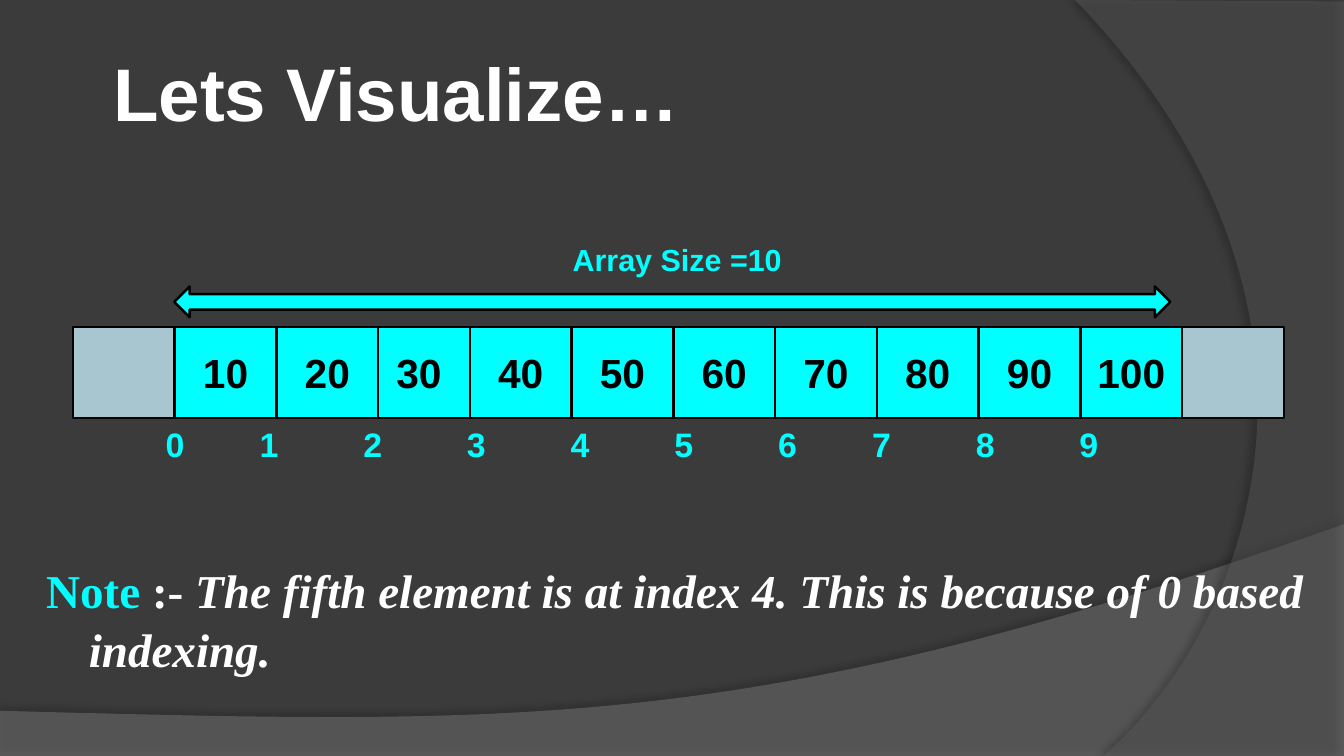
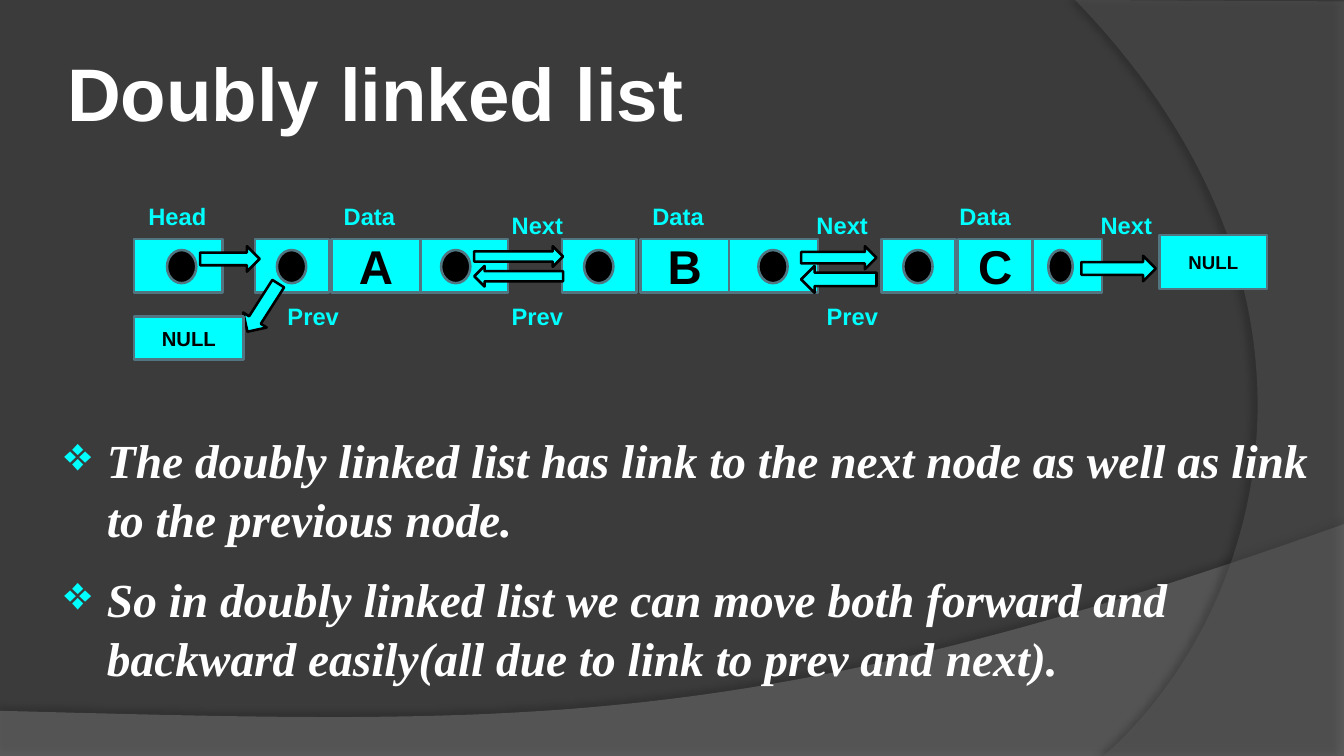
from dataclasses import dataclass
from itertools import accumulate

from lxml import etree
from pptx import Presentation
from pptx.dml.color import RGBColor
from pptx.enum.shapes import MSO_SHAPE
from pptx.enum.text import MSO_ANCHOR, PP_ALIGN
from pptx.oxml.ns import qn
from pptx.util import Cm, Pt

RECT, OVAL = MSO_SHAPE.RECTANGLE, MSO_SHAPE.OVAL
RIGHT_ARROW, DOUBLE_ARROW = MSO_SHAPE.RIGHT_ARROW, MSO_SHAPE.LEFT_RIGHT_ARROW
MIDDLE, TOP = MSO_ANCHOR.MIDDLE, MSO_ANCHOR.TOP
CENTER, LEFT = PP_ALIGN.CENTER, PP_ALIGN.LEFT

COLORS = {
    "background": "3B3B3B", "wave": "7F7F7F", "arc": "5E5E5E",
    "cyan": "00FFFF", "white": "FFFFFF", "black": "000000",
    "empty": "A8C6D0", "edge": "517682",
}
HEAD_FONT, BODY_FONT = "Arial", "Times New Roman"
SLIDE_W, SLIDE_H = 28, 15.75
CURVE_STEPS = 60

CELL_W, CELL_H, CELL_Y, ARRAY_X = 2.12, 1.9, 6.81, 1.52
CELL_OVERLAP = 0.21
NODE_Y, NODE_H = 4.98, 1.12
DOT_Y, DOT_H = 5.21, 0.69
DATA_Y, NEXT_Y, PREV_Y = 4.09, 4.27, 6.17

Point = tuple[float, float]


@dataclass
class Box:
    x: float
    y: float
    w: float
    h: float


@dataclass
class Run:
    text: str
    size: float
    color: str = "white"
    font: str = HEAD_FONT
    italic: bool = False


@dataclass
class Backdrop:
    """A closed outline: straight corners, then a Bezier curve from the last one."""
    corners: list[Point]
    curve: list[Point]
    color: str
    alpha: int
    shadow_alpha: int
    shadow_dist: float
    shadow_angle: int


@dataclass
class Field:
    """One compartment of a list node, with a pointer dot or a letter."""
    x: float
    w: float
    dot_x: float = 0
    dot_w: float = 0.61
    letter: str = ""


@dataclass
class Arrow:
    box: Box
    angle: float = 0


@dataclass
class Label:
    text: str
    x: float
    y: float


BACKDROPS = [
    Backdrop([(0, 14.81), (0, SLIDE_H), (SLIDE_W, SLIDE_H), (SLIDE_W, 10.92)],
             [(15.65, 15.32), (10.95, 15.09), (0, 14.81)], "wave", 45, 35, 3.5, 270),
    Backdrop([(SLIDE_W, 0.03), (SLIDE_W, SLIDE_H), (22.99, SLIDE_H)],
             [(26.16, 13), (28.5, 6.3), (22.4, 0)], "arc", 40, 45, 4, 180),
]

FIELDS = [
    Field(2.79, 1.85, 3.48),
    Field(5.31, 1.55, 5.77), Field(8.74, 1.85, 9.19), Field(6.91, 1.85, letter="A"),
    Field(11.71, 1.55, 12.17), Field(15.19, 1.85, 15.8), Field(13.34, 1.85, letter="B"),
    Field(18.36, 1.55, 18.82), Field(21.41, 1.55, 21.84, 0.51),
    Field(19.96, 1.55, letter="C"),
]
ARROWS = [
    Arrow(Box(4.17, 5.13, 1.24, 0.53)),
    Arrow(Box(9.88, 5.13, 1.85, 0.43)),
    Arrow(Box(16.69, 5.13, 1.57, 0.48)),
    Arrow(Box(22.53, 5.33, 1.55, 0.53)),
    Arrow(Box(9.88, 5.54, 1.85, 0.43), 180),
    Arrow(Box(16.69, 5.54, 1.57, 0.56), 180),
    Arrow(Box(4.88, 6.12, 1.19, 0.58), 122.6),
]
LABELS = [Label("Head", 2.84, DATA_Y)]
LABELS += [Label("Data", x, DATA_Y) for x in (6.91, 13.34, 19.74)]
LABELS += [Label("Next", x, NEXT_Y) for x in (10.41, 16.76, 22.68)]
LABELS += [Label("Prev", x, PREV_Y) for x in (5.74, 10.41, 16.97)]


def rgb(name: str) -> RGBColor:
    return RGBColor.from_string(COLORS[name])


def place(box: Box) -> tuple[Cm, Cm, Cm, Cm]:
    return Cm(box.x), Cm(box.y), Cm(box.w), Cm(box.h)


def add_runs(p, runs: list[Run]) -> None:
    for run in runs:
        r = p.add_run()
        r.text = run.text
        r.font.name, r.font.size = run.font, Pt(run.size)
        r.font.bold, r.font.italic = True, run.italic
        r.font.color.rgb = rgb(run.color)


def add_text(slide, box: Box, paragraphs: list[list[Run]], inset: bool = True,
             anchor: MSO_ANCHOR = TOP):
    tf = slide.shapes.add_textbox(*place(box)).text_frame
    tf.word_wrap, tf.vertical_anchor = True, anchor
    if not inset:
        tf.margin_left = tf.margin_top = tf.margin_right = tf.margin_bottom = 0
    for i, runs in enumerate(paragraphs):
        p = tf.add_paragraph() if i else tf.paragraphs[0]
        p.alignment = LEFT
        add_runs(p, runs)
    return tf


def add_figure(slide, kind: MSO_SHAPE, box: Box, fill: str = "cyan",
               line: str = "black", run: Run | None = None):
    sp = slide.shapes.add_shape(kind, *place(box))
    sp.shadow.inherit = False
    sp.fill.solid()
    sp.fill.fore_color.rgb = rgb(fill)
    sp.line.color.rgb = rgb(line)
    sp.line.width = Pt(1.5)
    if run:
        tf = sp.text_frame
        tf.vertical_anchor = MIDDLE
        tf.paragraphs[0].alignment = CENTER
        add_runs(tf.paragraphs[0], [run])
    return sp


def set_alpha(color, percent: int) -> None:
    etree.SubElement(color, qn("a:alpha"), val=str(percent * 1000))


def bezier(points: list[Point], t: float) -> Point:
    weights = ((1 - t) ** 3, 3 * t * (1 - t) ** 2, 3 * t * t * (1 - t), t ** 3)
    x, y = (sum(w * p[axis] for w, p in zip(weights, points)) for axis in (0, 1))
    return x, y


def add_backdrop(slide, drop: Backdrop) -> None:
    control = [drop.corners[-1], *drop.curve]
    points = drop.corners + [bezier(control, i / CURVE_STEPS)
                             for i in range(1, CURVE_STEPS + 1)]
    (x, y), *rest = [(Cm(px), Cm(py)) for px, py in points]
    builder = slide.shapes.build_freeform(x, y)
    builder.add_line_segments(rest, close=True)
    sp = builder.convert_to_shape()
    sp.line.fill.background()
    sp.fill.solid()
    sp.fill.fore_color.rgb = rgb(drop.color)
    sp.shadow.inherit = False
    sp_pr = sp.element.spPr
    set_alpha(sp_pr.find(qn("a:solidFill")).find(qn("a:srgbClr")), drop.alpha)
    shadow = etree.SubElement(
        sp_pr.find(qn("a:effectLst")), qn("a:outerShdw"), blurRad=str(Pt(4)),
        dist=str(Pt(drop.shadow_dist)), dir=str(drop.shadow_angle * 60000),
        algn="ctr", rotWithShape="0")
    color = etree.SubElement(shadow, qn("a:srgbClr"), val=COLORS["black"])
    set_alpha(color, drop.shadow_alpha)


def add_slide(prs, title: str, title_x: float):
    slide = prs.slides.add_slide(prs.slide_layouts[6])
    for drop in BACKDROPS:
        add_backdrop(slide, drop)
    add_text(slide, Box(title_x, 0.61, 19.5, 2.59), [[Run(title, 44)]], False, MIDDLE)
    return slide


def style_body(tf, bullet: str = "") -> None:
    """Give each paragraph a hanging indent, spacing and an optional bullet."""
    for p in tf.paragraphs:
        p.line_spacing, p.space_after = 1.05, Pt(11.5)
        p_pr = p._p.get_or_add_pPr()
        p_pr.set("marL", str(Cm(1.19)))
        p_pr.set("indent", str(Cm(-0.89)))
        if bullet:
            color = etree.SubElement(p_pr, qn("a:buClr"))
            etree.SubElement(color, qn("a:srgbClr"), val=COLORS["cyan"])
            etree.SubElement(p_pr, qn("a:buChar"), char=bullet)


def add_tab_stops(p, stops: list[float]) -> None:
    tabs = etree.SubElement(p._p.get_or_add_pPr(), qn("a:tabLst"))
    for stop in stops:
        etree.SubElement(tabs, qn("a:tab"), pos=str(Cm(stop)), algn="l")


def build_array_slide(prs) -> None:
    slide = add_slide(prs, "Lets Visualize…", 2.36)
    note = [Run("Note ", 27.8, "cyan", BODY_FONT), Run(":-", 27.8, font=BODY_FONT),
            Run(" The fifth element is at index 4. This is because of 0 based indexing.",
                27.8, font=BODY_FONT, italic=True)]
    style_body(add_text(slide, Box(0.66, 11.64, 26.67, 2), [note], False))

    indexes = "\t".join(str(i) for i in range(10))
    tf = add_text(slide, Box(3.2, 8.71, 21.6, 1.12), [[Run(indexes, 20, "cyan")]])
    narrow, wide = 1.96, 2.16
    gaps = [narrow] + [wide] * 5 + [narrow] + [wide] * 2
    add_tab_stops(tf.paragraphs[0], list(accumulate(gaps)))

    values = ["", *(str(v) for v in range(10, 101, 10)), ""]
    for i, value in reversed(list(enumerate(values))):
        x = ARRAY_X + i * CELL_W - (CELL_OVERLAP if i > 2 else 0)
        add_figure(slide, RECT, Box(x, CELL_Y, CELL_W, CELL_H),
                   "cyan" if value else "empty",
                   run=Run(value, 24, "black") if value else None)
    add_figure(slide, DOUBLE_ARROW, Box(3.63, 5.97, 20.75, 0.64))
    add_text(slide, Box(11.68, 4.9, 5.5, 1.02), [[Run("Array Size =10", 18, "cyan")]])


def build_list_slide(prs) -> None:
    slide = add_slide(prs, "Doubly linked list", 1.4)
    points = [
        "The doubly linked list has link to the next node as well as link to the "
        "previous node.",
        "So in doubly linked list we can move both forward and backward easily"
        "(all due to link to prev and next).",
    ]
    tf = add_text(slide, Box(0.79, 8.79, 27.2, 6.96),
                  [[Run(text, 28, font=BODY_FONT, italic=True)] for text in points])
    style_body(tf, "❖")

    for field in FIELDS:
        add_figure(slide, RECT, Box(field.x, NODE_Y, field.w, NODE_H), line="edge",
                   run=Run(field.letter, 28, "black") if field.letter else None)
        if field.dot_x:
            add_figure(slide, OVAL, Box(field.dot_x, DOT_Y, field.dot_w, DOT_H),
                       "black", "edge")
    for arrow in ARROWS:
        add_figure(slide, RIGHT_ARROW, arrow.box).rotation = arrow.angle
    for box, size in ((Box(24.16, 4.9, 2.24, 1.12), 11), (Box(2.79, 6.6, 2.29, 0.89), 12)):
        add_figure(slide, RECT, box, line="edge", run=Run("NULL", size, "black"))
    for label in LABELS:
        add_text(slide, Box(label.x, label.y, 2.1, 0.86), [[Run(label.text, 14, "cyan")]])


def main() -> None:
    prs = Presentation()
    prs.slide_width, prs.slide_height = Cm(SLIDE_W), Cm(SLIDE_H)
    background = prs.slide_master.background.fill
    background.solid()
    background.fore_color.rgb = rgb("background")
    build_array_slide(prs)
    build_list_slide(prs)
    prs.save("out.pptx")


if __name__ == "__main__":
    main()
